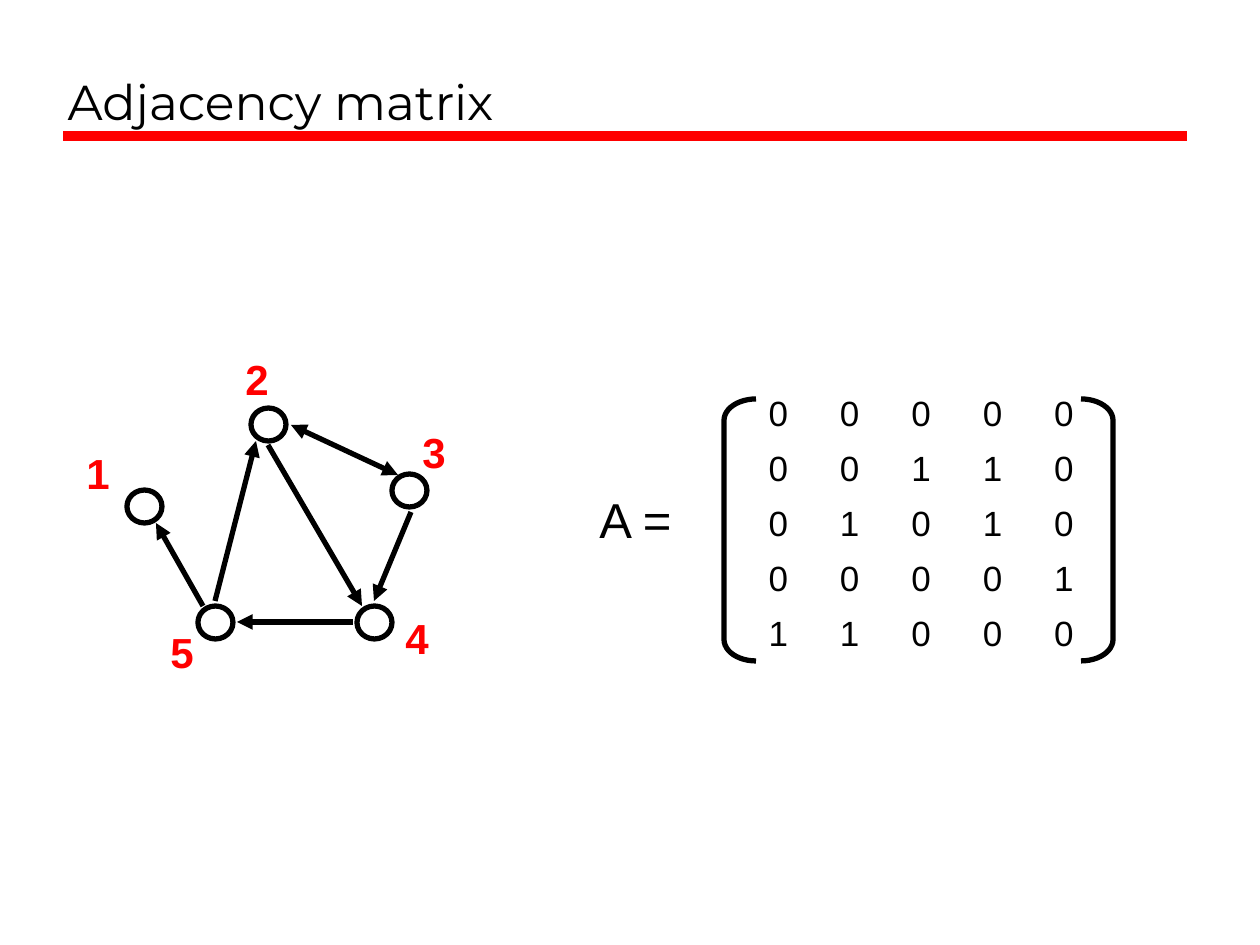
"""Build the adjacency matrix slide: a directed graph beside its matrix."""
from dataclasses import dataclass

from pptx import Presentation
from pptx.dml.color import RGBColor
from pptx.enum.shapes import MSO_CONNECTOR, MSO_SHAPE
from pptx.enum.text import MSO_ANCHOR, MSO_AUTO_SIZE, PP_ALIGN
from pptx.oxml.ns import qn
from pptx.util import Emu, Pt

STRAIGHT = MSO_CONNECTOR.STRAIGHT
OVAL = MSO_SHAPE.OVAL
BRACKETS = ((MSO_SHAPE.LEFT_BRACKET, 724), (MSO_SHAPE.RIGHT_BRACKET, 1081))
BOTTOM = MSO_ANCHOR.BOTTOM
LEFT = PP_ALIGN.LEFT
FIT_SHAPE, NO_FIT = MSO_AUTO_SIZE.SHAPE_TO_FIT_TEXT, MSO_AUTO_SIZE.NONE
PX_PER_INCH = 126
BLACK, RED = "000000", "FF0000"
TITLE_ONLY = 5


@dataclass
class Node:
    label: str
    x: int
    y: int
    label_x: int
    label_y: int


@dataclass
class Edge:
    x1: int
    y1: int
    x2: int
    y2: int
    two_way: bool = False


NODES = [
    Node("1", 127, 490, 74, 441),
    Node("2", 251, 408, 233, 347),
    Node("3", 392, 474, 410, 420),
    Node("4", 357, 606, 393, 606),
    Node("5", 198, 606, 158, 620),
]
EDGES = [
    Edge(291, 425, 398, 475, two_way=True),
    Edge(411, 512, 374, 601),
    Edge(353, 622, 237, 622),
    Edge(268, 445, 362, 606),
    Edge(215, 601, 256, 441),
    Edge(203, 606, 156, 523),
]
MATRIX = ["00000", "00110", "01010", "00001", "11000"]


def px(n: int) -> Emu:
    """Convert pixels to EMU."""
    return Emu(round(n * 914400 / PX_PER_INCH))


def rgb(color: str) -> RGBColor:
    """Convert a hex string to a colour."""
    return RGBColor.from_string(color)


def write(tf, text: str, *, size: int, font: str = "Arial",
          color: str = BLACK, bold: bool = False) -> None:
    """Put one formatted left-aligned run into a text frame."""
    p = tf.paragraphs[0]
    p.alignment = LEFT
    r = p.add_run()
    r.text = text
    r.font.name = font
    r.font.size = Pt(size)
    r.font.bold = bold
    r.font.color.rgb = rgb(color)


def add_label(slide, text: str, x: int, y: int, w: int, h: int, **fmt) -> None:
    """Add an unwrapped text box that fits its text."""
    tf = slide.shapes.add_textbox(px(x), px(y), px(w), px(h)).text_frame
    tf.word_wrap = False
    tf.auto_size = FIT_SHAPE
    write(tf, text, **fmt)


def add_outline(slide, kind, x: int, y: int, w: int, h: int):
    """Add an unfilled preset shape with a black outline."""
    sp = slide.shapes.add_shape(kind, px(x), px(y), px(w), px(h))
    sp.shadow.inherit = False
    sp.fill.background()
    sp.line.color.rgb = rgb(BLACK)
    sp.line.width = Pt(3)
    return sp


def add_line(slide, x1: int, y1: int, x2: int, y2: int, *, color: str = BLACK,
             width: int = 3, arrows: tuple[str, ...] = ()) -> None:
    """Add a straight line with triangles at the ends named in arrows."""
    cxn = slide.shapes.add_connector(STRAIGHT, px(x1), px(y1), px(x2), px(y2))
    cxn.line.color.rgb = rgb(color)
    cxn.line.width = Pt(width)
    ln = cxn.line._get_or_add_ln()
    for end in arrows:
        ln.makeelement(qn(f"a:{end}"), {"type": "triangle"})
        ln.append(ln.makeelement(qn(f"a:{end}"), {"type": "triangle"}))
    sp_pr = cxn._element.spPr
    sp_pr.append(sp_pr.makeelement(qn("a:effectLst"), {}))


def add_title(slide, text: str) -> None:
    """Place and fill the title with its red rule."""
    sp = slide.shapes.title
    sp.left, sp.top, sp.width, sp.height = px(55), px(21), px(1130), px(116)
    tf = sp.text_frame
    tf.vertical_anchor = BOTTOM
    tf.auto_size = NO_FIT
    write(tf, text, size=28, font="Montserrat")
    add_line(slide, 63, 136, 1187, 136, color=RED, width=6)


def add_graph(slide) -> None:
    """Draw the nodes, the edges and the node labels."""
    for n in NODES:
        add_outline(slide, OVAL, n.x, n.y, 35, 33)
    for e in EDGES:
        arrows = ("headEnd", "tailEnd") if e.two_way else ("tailEnd",)
        add_line(slide, e.x1, e.y1, e.x2, e.y2, arrows=arrows)
    for n in NODES:
        add_label(slide, n.label, n.label_x, n.label_y, 48, 63,
                  size=24, color=RED, bold=True)


def add_matrix(slide) -> None:
    """Draw the matrix as a plain table between brackets."""
    size = len(MATRIX)
    table = slide.shapes.add_table(
        size, size, px(756), px(388), px(357), px(276)).table
    table.first_row = table.horz_banding = False
    for i, row in enumerate(MATRIX):
        for j, value in enumerate(row):
            cell = table.cell(i, j)
            cell.fill.background()
            write(cell.text_frame, value, size=20)
    for kind, x in BRACKETS:
        sp = add_outline(slide, kind, x, 399, 32, 262)
        sp.adjustments[0] = 0.67
    add_label(slide, "A =", 587, 483, 100, 72, size=28)


def main() -> None:
    """Build and save the slide."""
    prs = Presentation()
    prs.slide_width, prs.slide_height = px(1260), px(945)
    slide = prs.slides.add_slide(prs.slide_layouts[TITLE_ONLY])
    add_title(slide, "Adjacency matrix")
    add_graph(slide)
    add_matrix(slide)
    prs.save("out.pptx")


if __name__ == "__main__":
    main()
